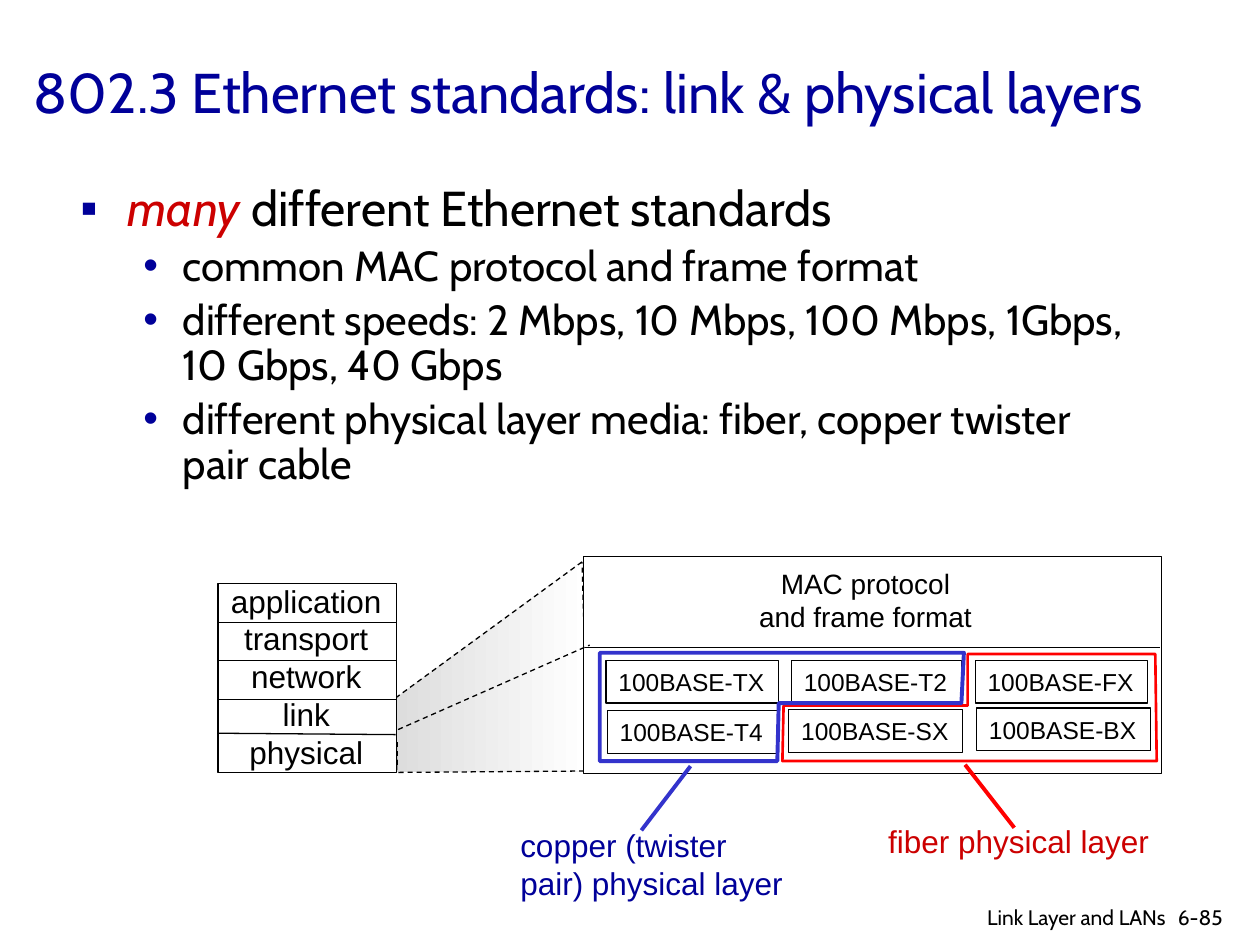
"""Build the slide on 802.3 Ethernet link and physical layer standards."""
from lxml.etree import SubElement
from pptx import Presentation
from pptx.dml.color import RGBColor
from pptx.enum.dml import MSO_LINE
from pptx.enum.shapes import MSO_CONNECTOR, MSO_SHAPE
from pptx.enum.text import MSO_ANCHOR, PP_ALIGN
from pptx.oxml.ns import qn
from pptx.util import Pt

BLACK = RGBColor(0x00, 0x00, 0x00)
WHITE = RGBColor(0xFF, 0xFF, 0xFF)
GRAY = RGBColor(0xDD, 0xDD, 0xDD)
NAVY = RGBColor(0x00, 0x00, 0x99)
BLUE = RGBColor(0x33, 0x33, 0xCC)
CRIMSON = RGBColor(0xCC, 0x00, 0x00)
RED = RGBColor(0xFF, 0x00, 0x00)


def write(sp, text, size, color=BLACK, font="Arial", align=PP_ALIGN.LEFT, wrap=False):
    tf = sp.text_frame
    tf.text = text
    tf.word_wrap = wrap
    for p in tf.paragraphs:
        p.alignment = align
        for r in p.runs:
            r.font.size = Pt(size)
            r.font.name = font
            r.font.color.rgb = color
    return tf


def outline(sp, color=BLACK, width=0.75, dashed=False):
    sp.line.color.rgb = color
    sp.line.width = Pt(width)
    if dashed:
        sp.line.dash_style = MSO_LINE.DASH
    SubElement(sp._element.spPr, qn("a:effectLst"))


prs = Presentation()
prs.slide_width, prs.slide_height = Pt(720), Pt(540)
s = prs.slides.add_slide(prs.slide_layouts[6])

sp = s.shapes.add_textbox(Pt(12.2), Pt(7.2), Pt(686.2), Pt(90))
tf = write(sp, "802.3 Ethernet standards: link & physical layers", 32, NAVY, "Cabin", wrap=True)
tf.vertical_anchor = MSO_ANCHOR.MIDDLE

bullets = [
    "many ",
    "common MAC protocol and frame format",
    "different speeds: 2 Mbps, 10 Mbps, 100 Mbps, 1Gbps, 10 Gbps, 40 Gbps",
    "different physical layer media: fiber, copper twister pair cable",
]
sp = s.shapes.add_textbox(Pt(38.9), Pt(101.5), Pt(612), Pt(165.6))
tf = write(sp, "\n".join(bullets), 24, font="Cabin", wrap=True)
for i, p in enumerate(tf.paragraphs):
    level, margin, hang, char = (1, 58.5, 22.5, "•") if i else (0, 27, 27, "▪")
    p.level = level
    p.line_spacing = 0.9
    if i:
        p.space_before = Pt(4.8)
    pPr = p._p.get_or_add_pPr()
    pPr.set("marL", str(Pt(margin)))
    pPr.set("indent", str(-Pt(hang)))
    SubElement(SubElement(pPr, qn("a:buClr")), qn("a:srgbClr")).set("val", str(NAVY))
    SubElement(pPr, qn("a:buFont")).set("typeface", "Arial")
    SubElement(pPr, qn("a:buChar")).set("char", char)
p = tf.paragraphs[0]
p.add_run().text = "different Ethernet standards"
for r, color in zip(p.runs, (CRIMSON, BLACK)):
    r.font.size = Pt(28)
    r.font.name = "Cabin"
    r.font.color.rgb = color
    r.font.italic = color == CRIMSON

fb = s.shapes.build_freeform(Pt(332.6), Pt(321.1), scale=1.0)
fb.add_line_segments([(Pt(x), Pt(y)) for x, y in ((226, 398.9), (226.8, 441.4), (336.2, 440.6))])
sp = fb.convert_to_shape()
sp.fill.gradient()
sp.fill.gradient_angle = 0
for stop, color, position in zip(sp.fill.gradient_stops, (GRAY, WHITE), (0, 1)):
    stop.color.rgb = color
    stop.position = position
outline(sp, dashed=True)

for x, y, w, h in ((124.6, 333.4, 102.2, 108), (333.4, 318.2, 330.5, 123.8)):
    sp = s.shapes.add_shape(MSO_SHAPE.RECTANGLE, Pt(x), Pt(y), Pt(w), Pt(h))
    sp.fill.solid()
    sp.fill.fore_color.rgb = WHITE
    outline(sp)

labels = [
    (124.6, 329.8, 100.8, 115.2, "application\ntransport\nnetwork\nlink\nphysical", 18, BLACK, PP_ALIGN.CENTER),
    (426.2, 321.1, 136.8, 46.1, "MAC protocol\nand frame format", 16, BLACK, PP_ALIGN.CENTER),
    (500.4, 467.3, 164.9, 28.8, "fiber physical layer", 18, CRIMSON, PP_ALIGN.LEFT),
    (290.2, 469.4, 166.3, 51.1, "copper (twister\npair) physical layer", 18, NAVY, PP_ALIGN.LEFT),
]
for x, y, w, h, text, size, color, align in labels:
    sp = s.shapes.add_textbox(Pt(x), Pt(y - 1), Pt(w), Pt(h))
    write(sp, text, size, color, align=align)

standards = [
    (346.3, 377.3, 98.6, "TX"),
    (347, 406.1, 97.2, "T4"),
    (557.3, 377.3, 98.6, "FX"),
    (452.2, 377.3, 97.2, "T2"),
    (450.7, 405.4, 99.4, "SX"),
    (558, 404.6, 99.4, "BX"),
]
for x, y, w, suffix in standards:
    sp = s.shapes.add_shape(MSO_SHAPE.RECTANGLE, Pt(x), Pt(y), Pt(w), Pt(24.5))
    sp.fill.background()
    outline(sp)
    write(sp, f"100BASE-{suffix}", 14).vertical_anchor = MSO_ANCHOR.MIDDLE

lines = [
    (124.6, 355.7, 226.8, 355.7, BLACK, 0.75, False),
    (124.6, 377.3, 226.8, 377.3, BLACK, 0.75, False),
    (124.6, 399.6, 226.1, 399.6, BLACK, 0.75, False),
    (124.6, 419, 226.1, 419.8, BLACK, 0.75, False),
    (124.6, 425.5, 124.6, 439.2, BLACK, 0.75, True),
    (226.8, 424.1, 226.8, 437.8, BLACK, 0.75, True),
    (334.1, 370.1, 663.1, 370.1, BLACK, 0.75, False),
    (227.5, 416.9, 337, 368.6, BLACK, 0.75, True),
    (551.5, 437, 579.6, 473, RED, 2.25, False),
    (394.6, 437.8, 366.5, 474.5, BLUE, 2.25, False),
]
for x1, y1, x2, y2, color, width, dashed in lines:
    sp = s.shapes.add_connector(MSO_CONNECTOR.STRAIGHT, Pt(x1), Pt(y1), Pt(x2), Pt(y2))
    outline(sp, color, width, dashed)

fiber = [(553, 373.7), (553, 403.2), (447.8, 403.2), (447.1, 434.9), (661, 434.9), (660.2, 373.7)]
copper = [(550.8, 373), (549.4, 401.8), (445, 401.8), (444.2, 434.9), (342.7, 434.9), (342.7, 373)]
for points, color, width in ((fiber, RED, 1.5), (copper, BLUE, 2.25)):
    start, *rest = [(Pt(x), Pt(y)) for x, y in points]
    fb = s.shapes.build_freeform(*start, scale=1.0)
    fb.add_line_segments(rest)
    sp = fb.convert_to_shape()
    sp.fill.background()
    outline(sp, color, width)

sp = s.shapes.add_textbox(Pt(666), Pt(513.4), Pt(43.2), Pt(21.6))
write(sp, "6-85", 12, font="Cabin", wrap=True)
sp = s.shapes.add_textbox(Pt(501.8), Pt(513.4), Pt(171.4), Pt(18.7))
write(sp, "Link Layer and LANs", 12, font="Cabin", align=PP_ALIGN.RIGHT, wrap=True)

prs.save("out.pptx")
